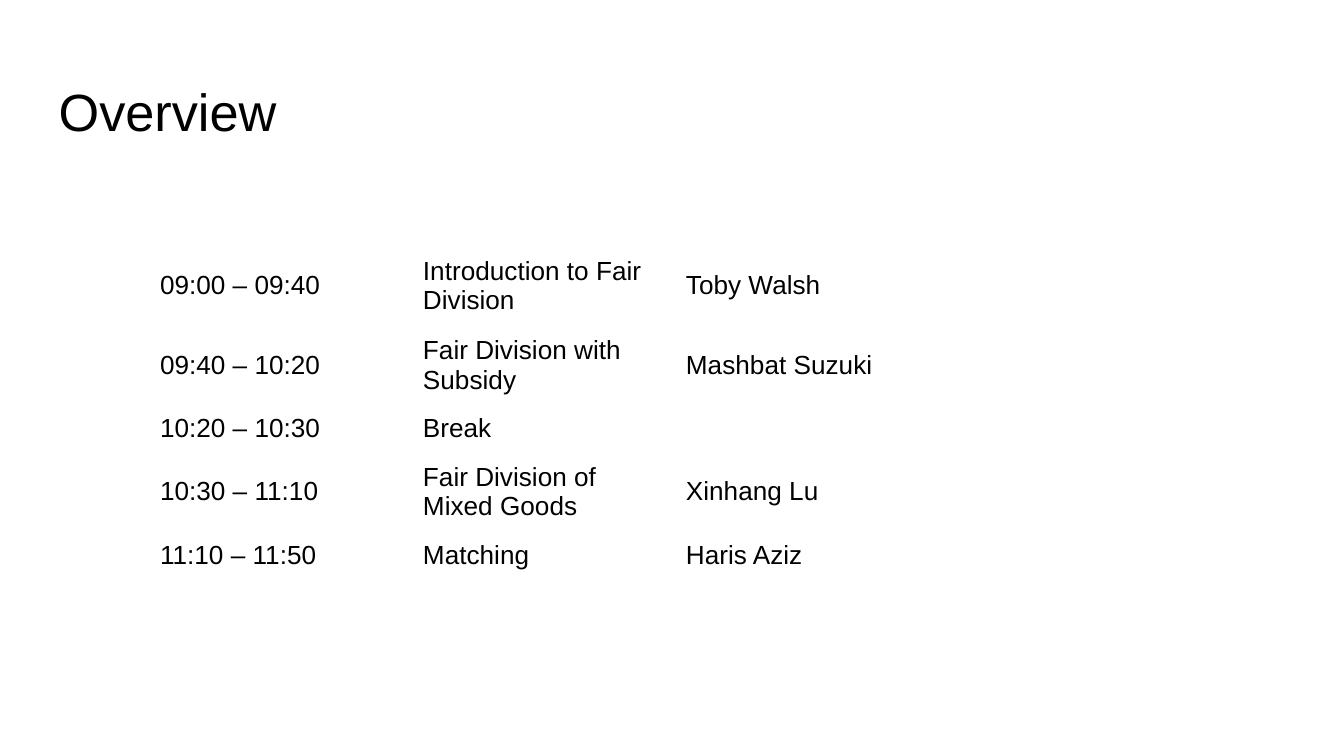
from pptx import Presentation
from pptx import util as u
from pptx.dml.color import RGBColor
from pptx.enum import shapes, text

HEAD = "Overview"
PLAN = [
    ("09:00 – 09:40", "Introduction to Fair Division", "Toby Walsh"),
    ("09:40 – 10:20", "Fair Division with Subsidy", "Mashbat Suzuki"),
    ("10:20 – 10:30", "Break", ""),
    ("10:30 – 11:10", "Fair Division of Mixed Goods", "Xinhang Lu"),
    ("11:10 – 11:50", "Matching", "Haris Aziz"),
]
COLS = 4
WRAP = 20
TALL, LOW = 1.5, 0.89
BLACK, WHITE = "000000", "FFFFFF"
CELL = {
    "margin_top": 0,
    "margin_bottom": 0,
    "vertical_anchor": text.MSO_ANCHOR.MIDDLE,
}


def paint(color, code):
    color.rgb = RGBColor.from_string(code)


def apply(item, form):
    for key, value in form.items():
        setattr(item, key, value)


def box(left, top, width, height):
    return [u.Cm(n) for n in (left, top, width, height)]


def write(par, words, size):
    run = par.add_run()
    run.text = words
    apply(run.font, {"name": "Arial", "size": u.Pt(size)})
    paint(run.font.color, BLACK)


def add_title(slide):
    title = slide.shapes.title
    spots = box(0.86, 1.24, 23.67, 1.6)
    apply(title, dict(zip(("left", "top", "width", "height"), spots)))
    frame = title.text_frame
    sides = ("left", "top", "right", "bottom")
    apply(frame, {f"margin_{side}": u.Cm(0.25) for side in sides})
    apply(frame, {"vertical_anchor": text.MSO_ANCHOR.TOP, "word_wrap": True})
    par = frame.paragraphs[0]
    par.alignment = text.PP_ALIGN.LEFT
    write(par, HEAD, 28)


def add_plan(slide):
    highs = [TALL if len(topic) > WRAP else LOW for _, topic, _ in PLAN]
    place = box(2.77, 4.65, 19.88, sum(highs))
    table = slide.shapes.add_table(len(PLAN), COLS, *place).table
    apply(table, {"first_row": False, "horz_banding": False})
    for row, high in zip(table.rows, highs):
        row.height = u.Cm(high)
    for cell in table.iter_cells():
        apply(cell, CELL)
        cell.fill.background()
    for r, line in enumerate(PLAN):
        for c, words in enumerate(line):
            if words:
                write(table.cell(r, c).text_frame.paragraphs[0], words, 14)


def add_mask(slide):
    kind = shapes.MSO_SHAPE.RECTANGLE
    mask = slide.shapes.add_shape(kind, *box(16.89, 3.1, 6.76, 8.61))
    mask.shadow.inherit = False
    mask.fill.solid()
    paint(mask.fill.fore_color, WHITE)
    paint(mask.line.color, WHITE)
    mask.line.width = u.Pt(2)


def main():
    deck = Presentation()
    apply(deck, {"slide_width": u.Cm(25.4), "slide_height": u.Cm(14.28)})
    slide = deck.slides.add_slide(deck.slide_layouts[5])
    slide.background.fill.solid()
    paint(slide.background.fill.fore_color, WHITE)
    add_title(slide)
    add_plan(slide)
    add_mask(slide)
    deck.save("out.pptx")


if __name__ == "__main__":
    main()
